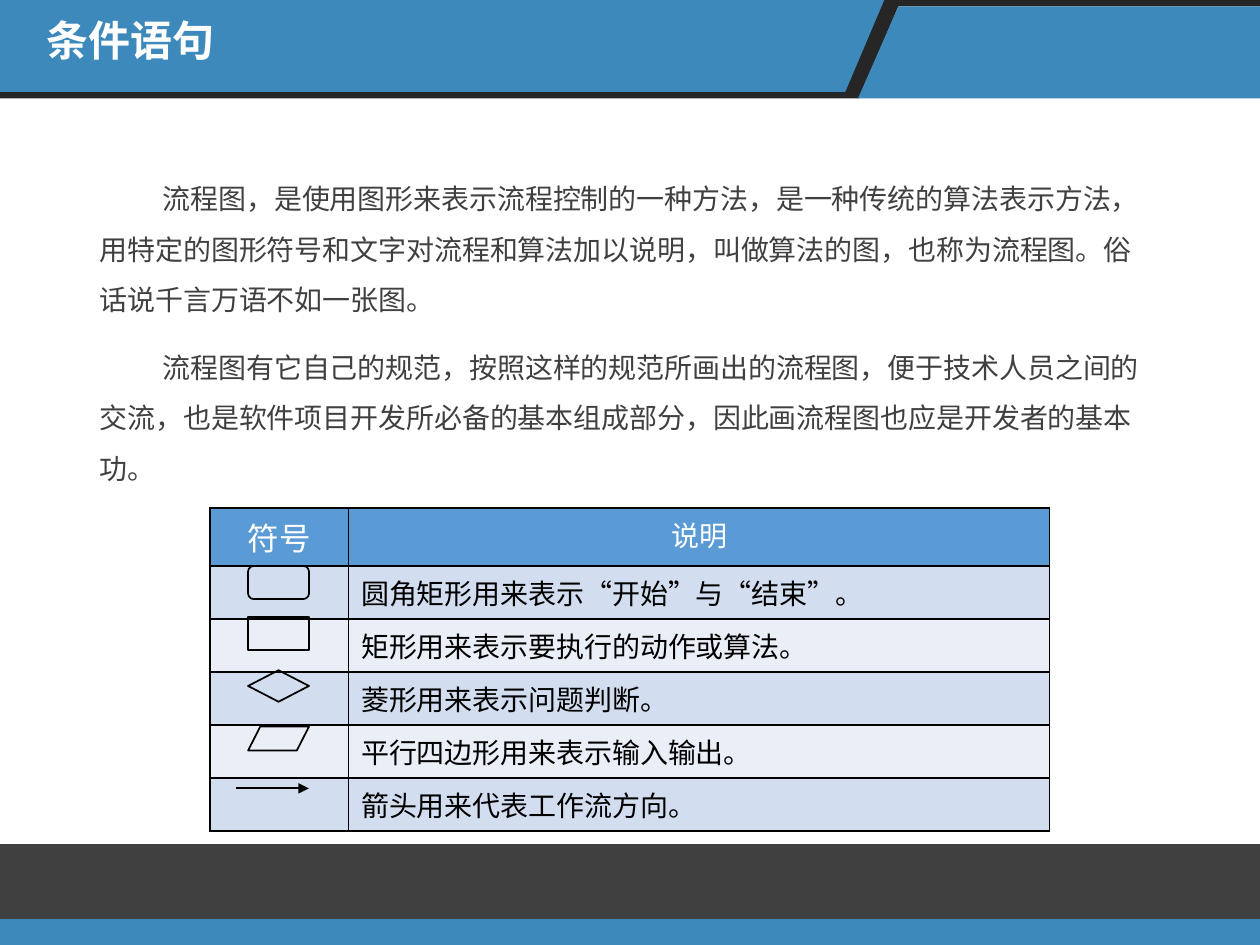
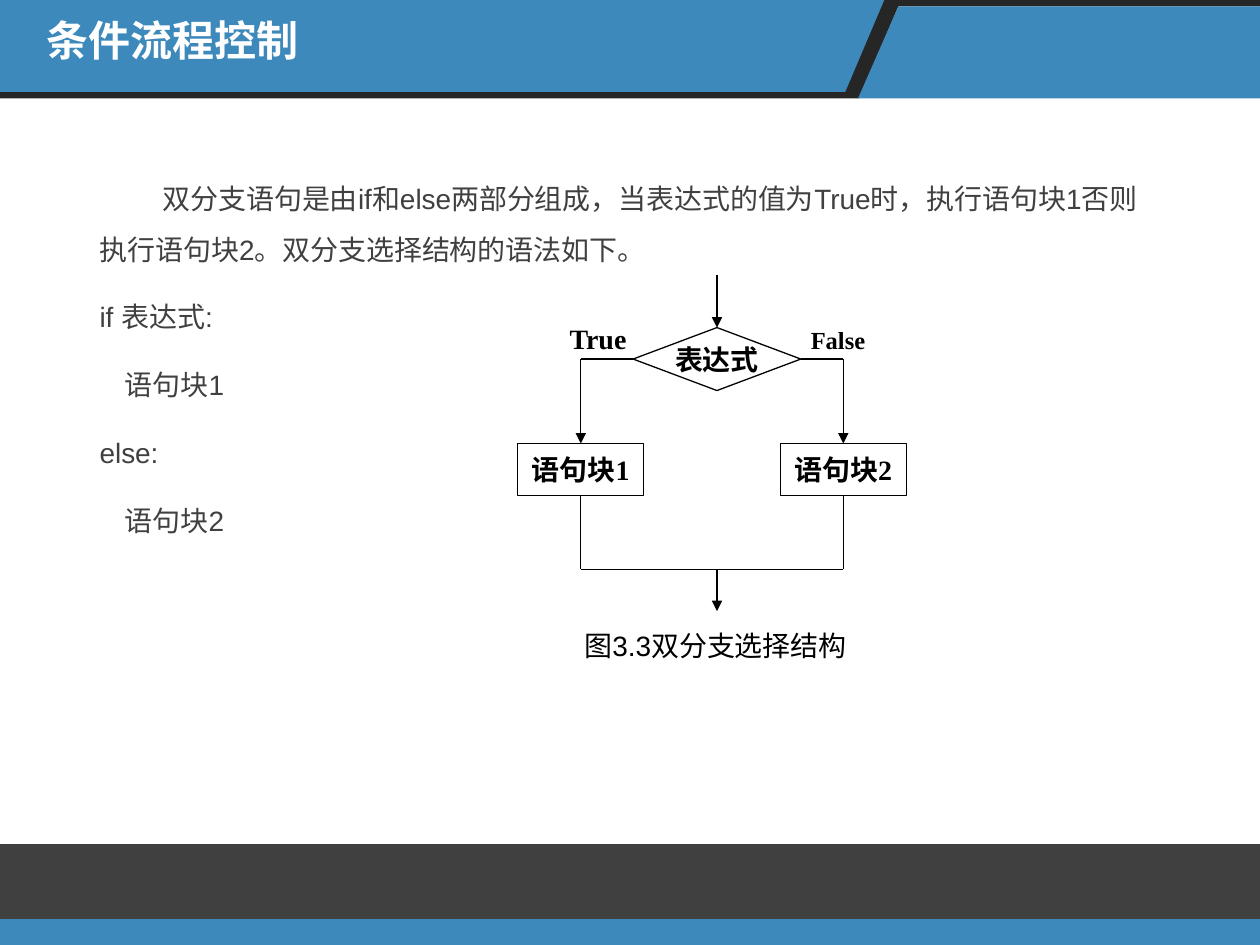
from lxml import etree
from pptx import Presentation
from pptx.dml.color import RGBColor
from pptx.enum.shapes import MSO_CONNECTOR, MSO_SHAPE
from pptx.enum.text import MSO_ANCHOR, MSO_AUTO_SIZE, PP_ALIGN
from pptx.oxml.ns import qn
from pptx.util import Pt

STRAIGHT = MSO_CONNECTOR.STRAIGHT
RECTANGLE = MSO_SHAPE.RECTANGLE
ROUNDED = MSO_SHAPE.ROUNDED_RECTANGLE
DECISION = MSO_SHAPE.FLOWCHART_DECISION
INPUT_OUTPUT = MSO_SHAPE.FLOWCHART_DATA
TOP, MIDDLE = MSO_ANCHOR.TOP, MSO_ANCHOR.MIDDLE
LEFT, CENTER = PP_ALIGN.LEFT, PP_ALIGN.CENTER
NO_AUTOFIT = MSO_AUTO_SIZE.NONE

WIDTH, HEIGHT = 720, 540
BLUE, DARK, GRAY = "3D89BC", "262626", "404040"
BLACK, WHITE = "000000", "FFFFFF"
HEADER_FILL, ROW_FILLS = "5B9BD5", ("D2DEEF", "EAEFF7")
SANS, SERIF = "Arial", "Times New Roman"

BANDS = [
    (BLUE, [(0, 0), (507.6, 0), (485.3, 52.6), (0, 52.6)]),
    (DARK, [(505.4, 0), (WIDTH, 0), (WIDTH, 3.6), (513.4, 3.6), (491, 56.2),
            (0, 56.2), (0, 52.6), (483.1, 52.6)]),
    (BLUE, [(513.4, 3.6), (WIDTH, 3.6), (WIDTH, 56.2), (490.3, 56.2)]),
    (GRAY, [(0, 482.2), (WIDTH, 482.2), (WIDTH, 525.2), (0, 525.2)]),
    (BLUE, [(0, 525.2), (WIDTH, 525.2), (WIDTH, HEIGHT), (0, HEIGHT)]),
]


def color(hex_text):
    return RGBColor.from_string(hex_text)


def points(*lengths):
    return [Pt(length) for length in lengths]


def place(shape, left, top, width, height):
    shape.left, shape.top, shape.width, shape.height = points(left, top, width, height)


def style(paragraph, size, hex_text, name=SANS, bold=False, align=LEFT):
    font = paragraph.font
    font.size, font.name, font.bold = Pt(size), name, bold
    font.color.rgb = color(hex_text)
    paragraph.alignment = align


class SlideBuilder:
    def __init__(self, deck):
        self.deck = deck
        self.page = None

    def start(self, title):
        """Add a page with its bands and its title in front of them."""
        self.page = self.deck.slides.add_slide(self.deck.slide_layouts[1])
        for fill, corners in BANDS:
            self.band(fill, corners)
        heading = self.page.shapes.title
        place(heading, 19.4, 7.9, 293.8, 44.6)
        self.page.shapes.element.append(heading.element)
        frame = heading.text_frame
        frame.text = title
        frame.auto_size, frame.vertical_anchor = NO_AUTOFIT, TOP
        paragraph = frame.paragraphs[0]
        style(paragraph, 24, WHITE, bold=True)
        paragraph.line_spacing, paragraph.space_before = 0.9, Pt(10)

    def band(self, fill, corners):
        first, *others = [points(*corner) for corner in corners]
        builder = self.page.shapes.build_freeform(*first)
        builder.add_line_segments(others)
        shape = builder.convert_to_shape()
        shape.shadow.inherit = False
        shape.fill.solid()
        shape.fill.fore_color.rgb = color(fill)
        shape.line.fill.background()

    def body(self, lines):
        """Fill the body with (text, left margin, first-line indent) lines."""
        holder = self.page.placeholders[1]
        place(holder, 49.7, 90.7, 620.6, 318.2)
        frame = holder.text_frame
        frame.text = "\n".join(text for text, _, _ in lines)
        frame.auto_size, frame.vertical_anchor = NO_AUTOFIT, TOP
        for paragraph, (_, margin, indent) in zip(frame.paragraphs, lines):
            style(paragraph, 16, GRAY)
            paragraph.line_spacing, paragraph.space_before = 1.5, Pt(10)
            properties = paragraph._p.get_or_add_pPr()
            properties.set("marL", str(Pt(margin)))
            properties.set("indent", str(Pt(indent)))
            etree.SubElement(properties, qn("a:buNone"))
            # Bullets must precede the default run properties.
            properties.append(properties.find(qn("a:defRPr")))

    def outline(self, kind, left, top, width, height, weight, text=""):
        shape = self.page.shapes.add_shape(kind, *points(left, top, width, height))
        shape.shadow.inherit = False
        shape.fill.background()
        shape.line.color.rgb = color(BLACK)
        shape.line.width = Pt(weight)
        if text:
            frame = shape.text_frame
            frame.text = text
            frame.word_wrap, frame.vertical_anchor = False, MIDDLE
            style(frame.paragraphs[0], 16, BLACK, SERIF, True, CENTER)

    def line(self, start, end, weight=0.75, arrow=False):
        connector = self.page.shapes.add_connector(STRAIGHT, *points(*start, *end))
        connector.line.color.rgb = color(BLACK)
        connector.line.width = Pt(weight)
        properties = connector.element.spPr
        if arrow:
            outline = properties.find(qn("a:ln"))
            etree.SubElement(outline, qn("a:tailEnd"), type="triangle")
        etree.SubElement(properties, qn("a:effectLst"))

    def label(self, text, left, top, width, size=16, name=SANS, bold=False):
        box = self.page.shapes.add_textbox(*points(left, top, width, 26.6))
        box.text_frame.text = text
        box.text_frame.word_wrap = True
        style(box.text_frame.paragraphs[0], size, BLACK, name, bold)

    def table(self, left, top, widths, row_height, rows):
        frame = self.page.shapes.add_table(
            len(rows), len(widths),
            *points(left, top, sum(widths), row_height * len(rows)))
        table = frame.table
        for column, width in zip(table.columns, widths):
            column.width = Pt(width)
        for row_index, texts in enumerate(rows):
            header = row_index == 0
            fill = HEADER_FILL if header else ROW_FILLS[(row_index - 1) % 2]
            for column_index, text in enumerate(texts):
                cell = table.cell(row_index, column_index)
                self.borders(cell)
                cell.fill.solid()
                cell.fill.fore_color.rgb = color(fill)
                if text:
                    cell.text = text
                    style(cell.text_frame.paragraphs[0],
                          18 if header and column_index == 0 else 16,
                          WHITE if header else BLACK,
                          align=CENTER if header else LEFT)

    def borders(self, cell):
        properties = cell._tc.get_or_add_tcPr()
        for side in ("lnL", "lnR", "lnT", "lnB"):
            edge = etree.SubElement(properties, qn(f"a:{side}"), w=str(Pt(1)))
            fill = etree.SubElement(edge, qn("a:solidFill"))
            etree.SubElement(fill, qn("a:srgbClr"), val=BLACK)


def add_symbols_slide(builder):
    builder.start("条件语句")
    builder.body([
        ("流程图，是使用图形来表示流程控制的一种方法，是一种传统的算法表示方法，"
         "用特定的图形符号和文字对流程和算法加以说明，叫做算法的图，也称为流程图。"
         "俗话说千言万语不如一张图。", 0, 36),
        ("流程图有它自己的规范，按照这样的规范所画出的流程图，便于技术人员之间的"
         "交流，也是软件项目开发所必备的基本组成部分，因此画流程图也应是开发者的"
         "基本功。", 0, 36),
    ])
    builder.table(120, 290.2, (79.2, 400.6), 29.2, [
        ("符号", "说明"),
        ("", "圆角矩形用来表示“开始”与“结束”。"),
        ("", "矩形用来表示要执行的动作或算法。"),
        ("", "菱形用来表示问题判断。"),
        ("", "平行四边形用来表示输入输出。"),
        ("", "箭头用来代表工作流方向。"),
    ])
    symbols = [(ROUNDED, 323.4, 18.9), (RECTANGLE, 352.7, 18.9),
               (DECISION, 383, 18), (INPUT_OUTPUT, 415.2, 13.7)]
    for kind, top, height in symbols:
        builder.outline(kind, 141.8, top, 34.8, height, 1)
    builder.line((134.7, 450.5), (176.5, 450.5), 1, arrow=True)


def add_branch_slide(builder):
    builder.start("条件流程控制")
    builder.body([
        ("双分支语句是由if和else两部分组成，当表达式的值为True时，执行语句块1"
         "否则执行语句块2。双分支选择结构的语法如下。", 0, 36),
        ("if 表达式:", 0, 0),
        ("语句块1", 14.5, 0),
        ("else:", 0, 0),
        ("语句块2", 14.5, 0),
    ])
    axis, diamond_width, diamond_height = 409.7, 95.8, 36
    entry, diamond_top, block_top, merge, finish = 157, 187.2, 253.4, 325.4, 349.2
    block_width, block_height = 72, 30
    branch = diamond_top + diamond_height / 2
    diamond_left = axis - diamond_width / 2
    diamond_right = axis + diamond_width / 2
    true_axis, false_axis = 331.9, 481.9

    builder.line((axis, entry), (axis, diamond_top), arrow=True)
    builder.outline(DECISION, diamond_left, diamond_top, diamond_width,
                    diamond_height, 0.75, "表达式")
    for center, corner, text in [(true_axis, diamond_left, "语句块1"),
                                 (false_axis, diamond_right, "语句块2")]:
        builder.line((corner, branch), (center, branch))
        builder.line((center, branch), (center, block_top), arrow=True)
        builder.outline(RECTANGLE, center - block_width / 2, block_top,
                        block_width, block_height, 0.75, text)
        builder.line((center, block_top + block_height), (center, merge))
    builder.line((true_axis, merge), (false_axis, merge))
    builder.line((axis, merge), (axis, finish), arrow=True)
    builder.label("True", 318.4, 180.3, 60, 16, SERIF, True)
    builder.label("False", 456.2, 182, 60, 14, SERIF, True)
    builder.label("图3.3双分支选择结构", 326.9, 355.7, 166.3)


def main():
    deck = Presentation()
    deck.slide_width, deck.slide_height = points(WIDTH, HEIGHT)
    builder = SlideBuilder(deck)
    add_symbols_slide(builder)
    add_branch_slide(builder)
    deck.save("out.pptx")


if __name__ == "__main__":
    main()
